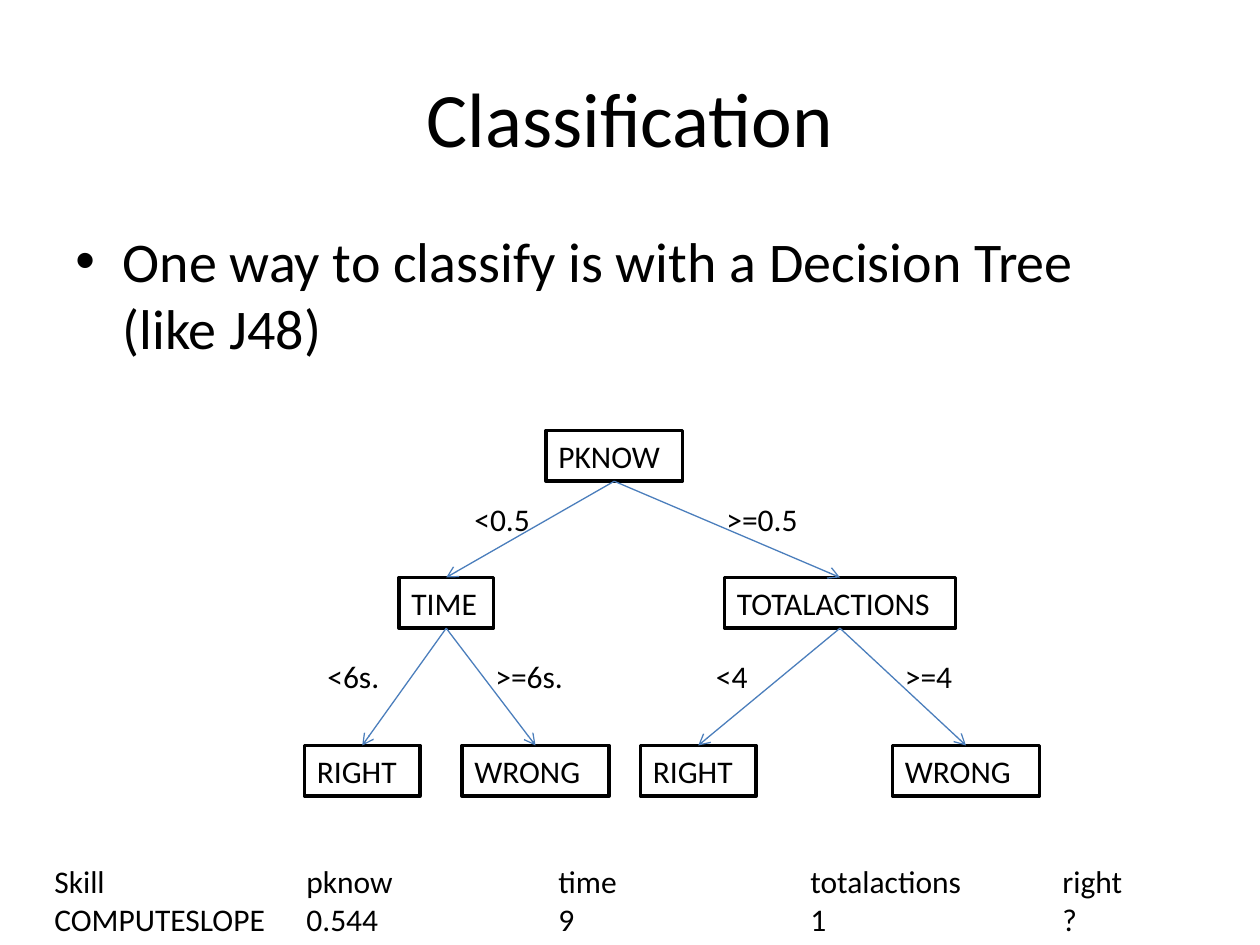
from lxml.etree import SubElement
from pptx import Presentation
from pptx.dml.color import RGBColor
from pptx.enum.shapes import MSO_CONNECTOR, MSO_SHAPE
from pptx.enum.text import MSO_ANCHOR, PP_ALIGN
from pptx.oxml.ns import qn
from pptx.util import Pt

COLORS = {"text": "000000", "box": "FFFFFF", "border": "000000", "arrow": "4B7EBC"}
BOX_H = 29
LEVELS = (246, 330, 426)
LABELS = (282, 372)


class SlideBuilder:
    font = "Calibri"
    size = 18

    def __init__(self, prs):
        self.slide = prs.slides.add_slide(prs.slide_layouts[5])

    def color(self, name):
        return RGBColor.from_string(COLORS[name])

    def add_run(self, p, text, size=None, align=PP_ALIGN.LEFT):
        p.alignment = align
        r = p.add_run()
        r.text = text
        r.font.name = self.font
        r.font.size = Pt(size or self.size)
        r.font.color.rgb = self.color("text")

    def title(self, text, x, y, w, h):
        sp = self.slide.shapes.title
        sp.left, sp.top, sp.width, sp.height = Pt(x), Pt(y), Pt(w), Pt(h)
        tf = sp.text_frame
        tf.vertical_anchor = MSO_ANCHOR.MIDDLE
        self.add_run(tf.paragraphs[0], text, 44, PP_ALIGN.CENTER)

    def text(self, lines, x, y, w, h, size=None):
        sp = self.slide.shapes.add_textbox(Pt(x), Pt(y), Pt(w), Pt(h))
        tf = sp.text_frame
        tf.word_wrap = True
        for i, line in enumerate(lines):
            p = tf.add_paragraph() if i else tf.paragraphs[0]
            self.add_run(p, line, size)
        return tf

    def bullets(self, lines, x, y, w, h):
        for p in self.text(lines, x, y, w, h, 32).paragraphs:
            pPr = p._p.get_or_add_pPr()
            pPr.set("marL", str(Pt(27)))
            pPr.set("indent", str(-Pt(27)))
            SubElement(pPr, qn("a:buFont"), typeface="Arial")
            SubElement(pPr, qn("a:buChar"), char="•")

    def columns(self, rows, x, y, w, h, step):
        tf = self.text(["\t".join(row) for row in rows], x, y, w, h)
        for p, row in zip(tf.paragraphs, rows):
            tabs = SubElement(p._p.get_or_add_pPr(), qn("a:tabLst"))
            for i in range(1, len(row)):
                SubElement(tabs, qn("a:tab"), pos=str(Pt(step * i)), algn="l")

    def node(self, text, x, y, w):
        sp = self.slide.shapes.add_shape(MSO_SHAPE.RECTANGLE, Pt(x), Pt(y), Pt(w), Pt(BOX_H))
        sp.shadow.inherit = False
        sp.fill.solid()
        sp.fill.fore_color.rgb = self.color("box")
        sp.line.color.rgb = self.color("border")
        sp.line.width = Pt(2)
        tf = sp.text_frame
        tf.word_wrap = True
        tf.vertical_anchor = MSO_ANCHOR.TOP
        self.add_run(tf.paragraphs[0], text)
        return sp

    def arrow(self, parent, child):
        cn = self.slide.shapes.add_connector(MSO_CONNECTOR.STRAIGHT, 0, 0, 0, 0)
        cn.begin_connect(parent, 2)
        cn.end_connect(child, 0)
        cn.line.color.rgb = self.color("arrow")
        cn.line.width = Pt(0.75)
        spPr = cn._element.spPr
        SubElement(spPr.find(qn("a:ln")), qn("a:tailEnd"), type="arrow")
        SubElement(spPr, qn("a:effectLst"))

    def tree(self, node, level=0):
        text, x, w, branches = node
        parent = self.node(text, x, LEVELS[level], w)
        for label, label_x, child in branches:
            self.arrow(parent, self.tree(child, level + 1))
            self.text([label], label_x, LABELS[level], 66, BOX_H)
        return parent


def right(x):
    return "RIGHT", x, 66, []


def wrong(x):
    return "WRONG", x, 84, []


def main():
    prs = Presentation()
    prs.slide_width, prs.slide_height = Pt(720), Pt(540)
    s = SlideBuilder(prs)
    s.title("Classification", 36, 21.6, 648, 90)
    s.bullets(["One way to classify is with a Decision Tree (like J48)"], 36, 126, 636, 402)

    time = ("TIME", 228, 54, [("<6s.", 180, right(174)), (">=6s.", 276, wrong(264))])
    actions = ("TOTALACTIONS", 414, 132, [("<4", 402, right(366)), (">=4", 510, wrong(510))])
    s.tree(("PKNOW", 312, 78, [("<0.5", 264, time), (">=0.5", 408, actions)]))

    rows = [
        ("Skill", "pknow", "time", "totalactions", "right"),
        ("COMPUTESLOPE", "0.544", "9", "1", "?"),
    ]
    s.columns(rows, 24, 489, 678, 51, 144)
    prs.save("out.pptx")


if __name__ == "__main__":
    main()
